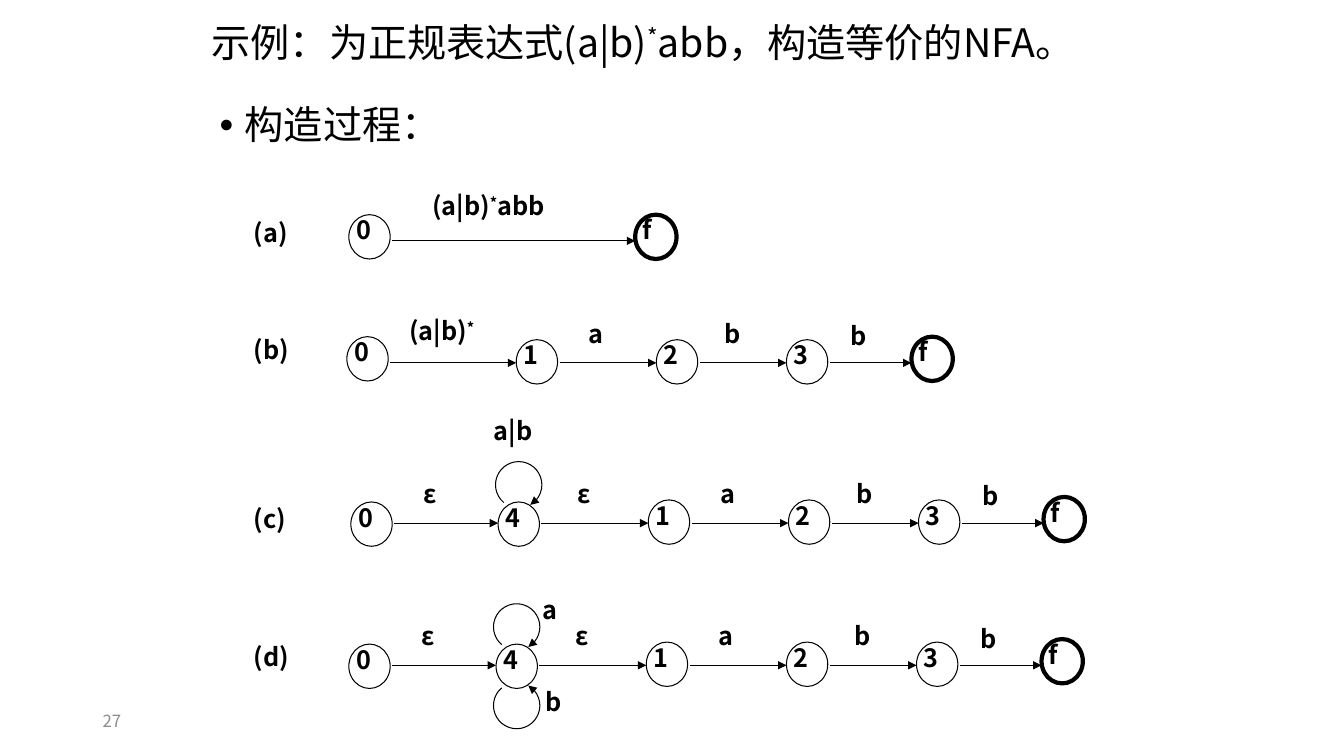
import math
import pptx
import pptx.dml.color
import pptx.enum.shapes
import pptx.enum.text
import pptx.oxml.ns
import pptx.util
import lxml.etree

FONT = "Noto Sans CJK SC"
COLORS = {"ink": "000000", "number": "8C8C8C"}
ALIGN = pptx.enum.text.PP_ALIGN
ANCHOR = pptx.enum.text.MSO_ANCHOR
qn = pptx.oxml.ns.qn

deck = pptx.Presentation()
deck.slide_width = pptx.util.Inches(13.33)
deck.slide_height = pptx.util.Inches(7.5)
page = deck.slides.add_slide(deck.slide_layouts[6])

# Fine grid: 1333 columns by 750 rows
COLUMN = deck.slide_width / 1333
ROW = deck.slide_height / 750
INK = pptx.dml.color.RGBColor.from_string(COLORS["ink"])


def write(shapes, area, text, size=18, bold=True, color="ink", align=ALIGN.JUSTIFY,
          anchor=ANCHOR.TOP, spacing=1.0, bullet=False):
    """Add a text box; a star in the text is raised."""
    left, top, width, height = area
    box = shapes.add_textbox(round(left * COLUMN), round(top * ROW),
                             round(width * COLUMN), round(height * ROW))
    box.text_frame.word_wrap = True
    box.text_frame.vertical_anchor = anchor
    para = box.text_frame.paragraphs[0]
    para.alignment = align
    para.line_spacing = spacing
    if bullet:
        props = para._p.get_or_add_pPr()
        props.set("marL", str(round(25 * COLUMN)))
        props.set("indent", str(round(-25 * COLUMN)))
        lxml.etree.SubElement(props, qn("a:buFont"), typeface="Arial")
        lxml.etree.SubElement(props, qn("a:buChar"), char="•")
    para.font.size = pptx.util.Pt(size)
    para.font.bold = bold
    para.font.name = FONT
    para.font.color.rgb = pptx.dml.color.RGBColor.from_string(COLORS[color])
    latin = para._p.pPr.find(qn("a:defRPr")).find(qn("a:latin"))
    latin.addnext(latin.makeelement(qn("a:ea"), {"typeface": FONT}))
    for part in filter(None, text.partition("*")):
        span = para.add_run()
        span.text = part
        if part == "*":
            span._r.get_or_add_rPr().set("baseline", "30000")


def make_arrow(stroke):
    """Give a connector or an open outline a thin line with an arrowhead."""
    stroke.line.color.rgb = INK
    stroke.line.width = pptx.util.Pt(0.75)
    lxml.etree.SubElement(stroke.line._get_or_add_ln(), qn("a:tailEnd"), type="triangle")
    lxml.etree.SubElement(stroke._element.spPr, qn("a:effectLst"))


# Heading, bullet and page number
write(page.shapes, (200, 17, 942, 55), "示例：为正规表达式(a|b)*abb，构造等价的NFA。", 28, False,
      align=ALIGN.LEFT, anchor=ANCHOR.MIDDLE, spacing=0.9)
write(page.shapes, (208, 100, 912, 67), "构造过程：", 28, False,
      align=ALIGN.LEFT, spacing=0.9, bullet=True)
write(page.shapes, (92, 695, 300, 40), "27", 12, False, "number",
      align=ALIGN.LEFT, anchor=ANCHOR.MIDDLE)

# States: name, column, top above the arrow row, then edge label, its shift and rise
abb_tail = [("1", 512, 23, "a", 62, 49), ("2", 651, 23, "b", 58, 49),
            ("3", 780, 23, "b", 54, 47), ("f", 904, 26, "", 0, 0)]
star_chain = [("0", 348, 21, "ε", 62, 49), ("4", 494, 21, "ε", 69, 49)]
star_chain += [(name, column + 131, *rest) for name, column, *rest in abb_tail]

# Automata: caption, caption row, arrow row, shift, states, loops (label, area, side)
automata = [
    ("(a)", 211, 239, 0, [("0", 346, 26, "(a|b)*abb", 73, 55), ("f", 630, 26, "", 0, 0)], []),
    ("(b)", 327, 360, 0, [("0", 344, 26, "(a|b)*", 52, 52)] + abb_tail, []),
    ("(c)", 494, 519, 0, star_chain, [("a|b", (480, 407, 95, 57), 1)]),
    ("(d)", 631, 660, -2, star_chain, [("a", (528, 585, 68, 57), 1),
                                       ("b", (531, 676, 71, 57), -1)]),
]
DIAMETER, RADIUS = 41, 23

for caption, caption_row, arrow_row, shift, states, loops in automata:
    shapes = page.shapes.add_group_shape().shapes
    write(shapes, (242, caption_row, 95, 57), caption)

    # Circles with their names
    for name, column, rise, *edge in states:
        left, top = column + shift, arrow_row - rise
        circle = shapes.add_shape(pptx.enum.shapes.MSO_SHAPE.OVAL,
                                  round(left * COLUMN), round(top * ROW),
                                  round(DIAMETER * COLUMN), round(44 * ROW))
        circle.shadow.inherit = False
        circle.fill.background()
        circle.line.color.rgb = INK
        circle.line.width = pptx.util.Pt(3 if name == "f" else 0.75)
        write(shapes, (left - 2.5, top - 5, 51, 52), name)

    # Labelled arrows between neighbours
    for source, target in zip(states, states[1:]):
        start, end = source[1] + shift, target[1] + shift
        label, label_shift, label_rise = source[3:]
        arrow = shapes.add_connector(pptx.enum.shapes.MSO_CONNECTOR.STRAIGHT,
                                     round((start + 43) * COLUMN), round(arrow_row * ROW),
                                     round(end * COLUMN), round(arrow_row * ROW))
        make_arrow(arrow)
        write(shapes, (start + label_shift, arrow_row - label_rise, end - start - 20, 57), label)

    # Loops on state 4, above (1) or below (-1)
    for label, area, side in loops:
        middle = 494 + shift + DIAMETER / 2
        center = arrow_row - 38 if side == 1 else arrow_row + 40
        turns = [math.radians(angle) for angle in range(130, 421, 10)]
        points = [(round((middle + RADIUS * math.cos(turn)) * COLUMN),
                   round((center + side * RADIUS * math.sin(turn)) * ROW)) for turn in turns]
        outline = shapes.build_freeform(*points[0])
        outline.add_line_segments(points[1:], close=False)
        loop = outline.convert_to_shape()
        loop.fill.background()
        make_arrow(loop)
        write(shapes, area, label)

deck.save("out.pptx")
